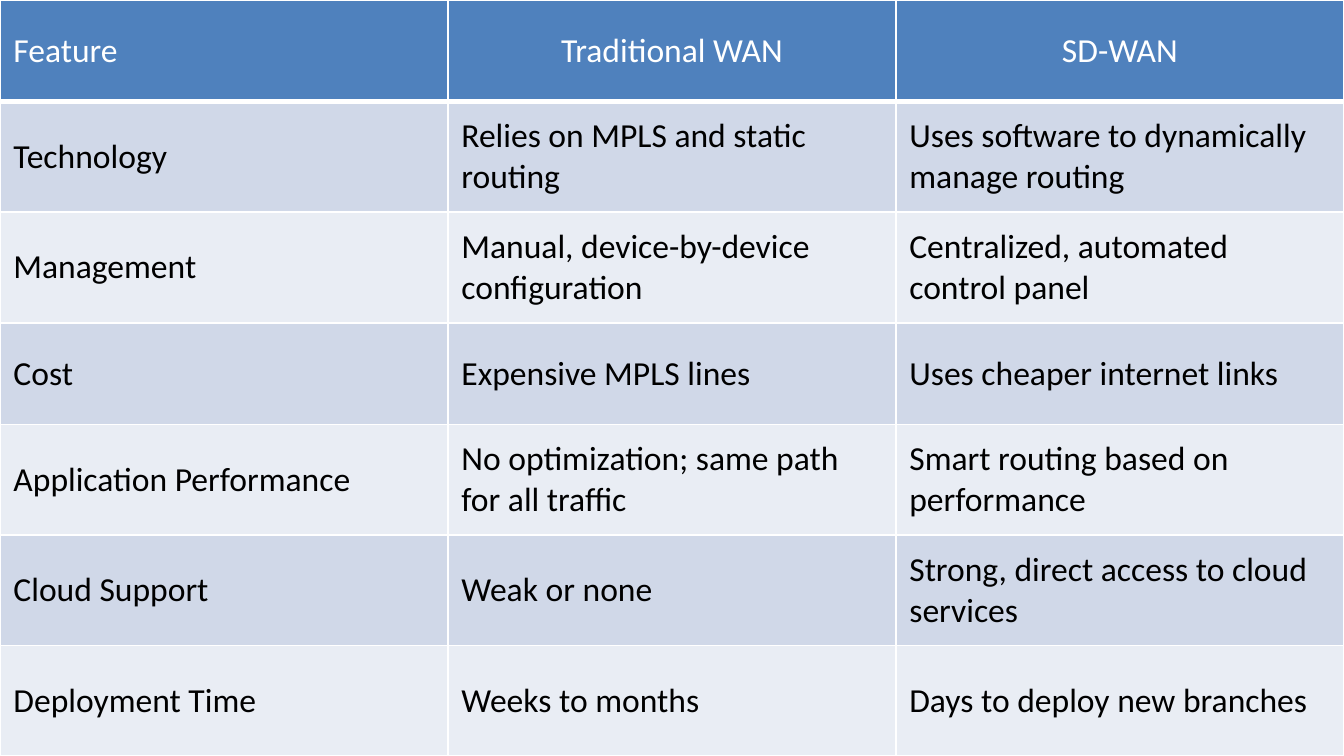
from lxml.etree import SubElement
from pptx import Presentation
from pptx.dml.color import RGBColor
from pptx.enum.text import MSO_ANCHOR, PP_ALIGN
from pptx.oxml.ns import qn
from pptx.util import Cm, Pt

WHITE = RGBColor(0xFF, 0xFF, 0xFF)
BLACK = RGBColor(0x00, 0x00, 0x00)
HEADER_BLUE = RGBColor(0x4F, 0x81, 0xBD)
BAND_DARK = RGBColor(0xD0, 0xD8, 0xE8)
BAND_LIGHT = RGBColor(0xE9, 0xED, 0xF4)

SLIDE_WIDTH, SLIDE_HEIGHT = Cm(25.4), Cm(14.29)
SHORT_ROW, TALL_ROW = Cm(1.92), Cm(2.09)
ROW_HEIGHTS = [SHORT_ROW, TALL_ROW, TALL_ROW, SHORT_ROW, TALL_ROW, TALL_ROW, TALL_ROW]

COMPARISON = [
    ("Feature", "Traditional WAN", "SD-WAN"),
    ("Technology", "Relies on MPLS and static routing", "Uses software to dynamically manage routing"),
    ("Management", "Manual, device-by-device configuration", "Centralized, automated control panel"),
    ("Cost", "Expensive MPLS lines", "Uses cheaper internet links"),
    ("Application Performance", "No optimization; same path for all traffic", "Smart routing based on performance"),
    ("Cloud Support", "Weak or none", "Strong, direct access to cloud services"),
    ("Deployment Time", "Weeks to months", "Days to deploy new branches"),
]


def set_borders(cell, bottom_width):
    """Draw white borders; call before setting the fill, which must follow them in the XML."""
    properties = cell._tc.get_or_add_tcPr()
    widths = {"a:lnL": Pt(1), "a:lnR": Pt(1), "a:lnT": Pt(1), "a:lnB": bottom_width}
    for tag, width in widths.items():
        line = SubElement(properties, qn(tag), w=str(width))
        fill = SubElement(line, qn("a:solidFill"))
        SubElement(fill, qn("a:srgbClr"), val=str(WHITE))


def format_cell(cell, text, fill_color, font_color, alignment, bottom_width):
    set_borders(cell, bottom_width)
    cell.fill.solid()
    cell.fill.fore_color.rgb = fill_color
    cell.vertical_anchor = MSO_ANCHOR.MIDDLE
    cell.text = text
    paragraph = cell.text_frame.paragraphs[0]
    paragraph.alignment = alignment
    paragraph.font.name = "Calibri"
    paragraph.font.size = Pt(18)
    paragraph.font.bold = False
    paragraph.font.color.rgb = font_color


def add_comparison_table(slide):
    table = slide.shapes.add_table(
        len(COMPARISON), len(COMPARISON[0]), 0, 0, SLIDE_WIDTH, SLIDE_HEIGHT
    ).table
    for row, height in zip(table.rows, ROW_HEIGHTS):
        row.height = height

    # Header row: first heading left, the others centred
    for column, text in enumerate(COMPARISON[0]):
        alignment = PP_ALIGN.CENTER if column else PP_ALIGN.LEFT
        format_cell(table.cell(0, column), text, HEADER_BLUE, WHITE, alignment, Pt(3))

    # Banded body rows
    for row, texts in enumerate(COMPARISON[1:], start=1):
        band = BAND_DARK if row % 2 else BAND_LIGHT
        for column, text in enumerate(texts):
            format_cell(table.cell(row, column), text, band, BLACK, PP_ALIGN.LEFT, Pt(1))


def main():
    presentation = Presentation()
    presentation.slide_width = SLIDE_WIDTH
    presentation.slide_height = SLIDE_HEIGHT
    slide = presentation.slides.add_slide(presentation.slide_layouts[6])
    add_comparison_table(slide)
    presentation.save("out.pptx")


if __name__ == "__main__":
    main()
